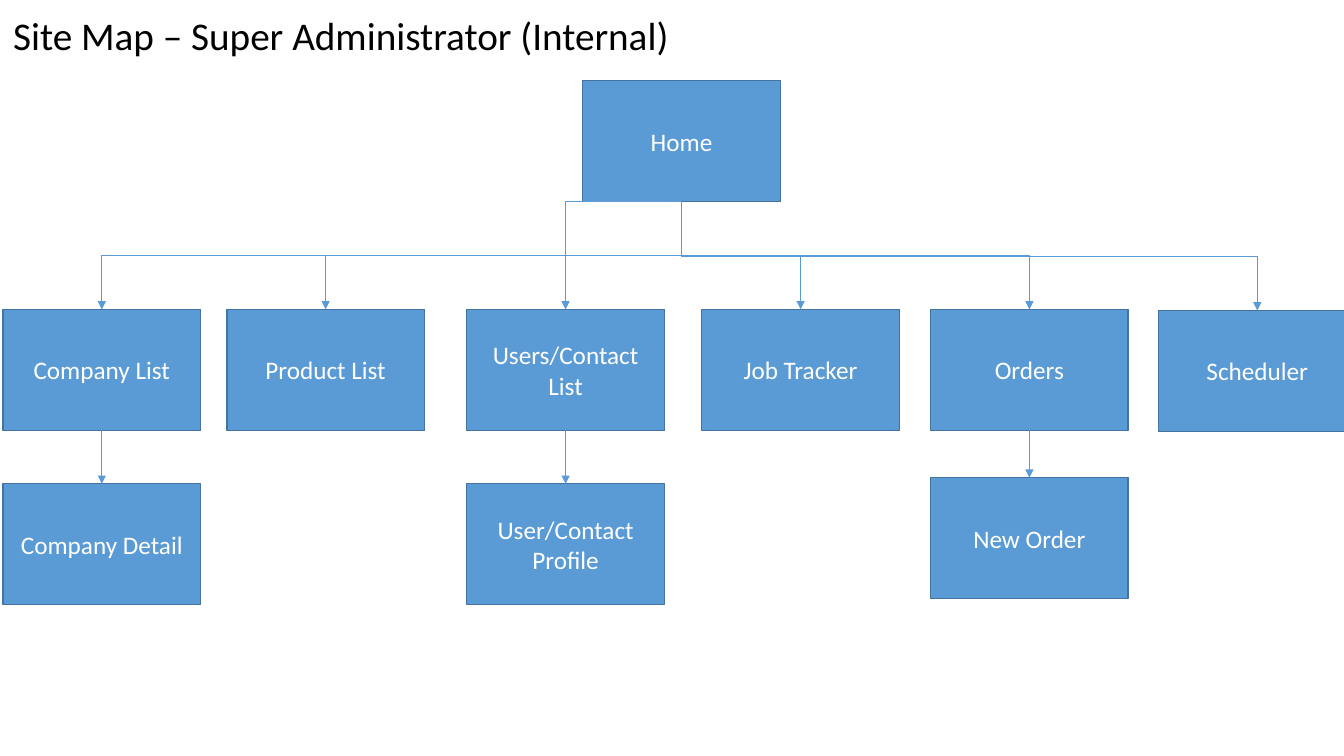
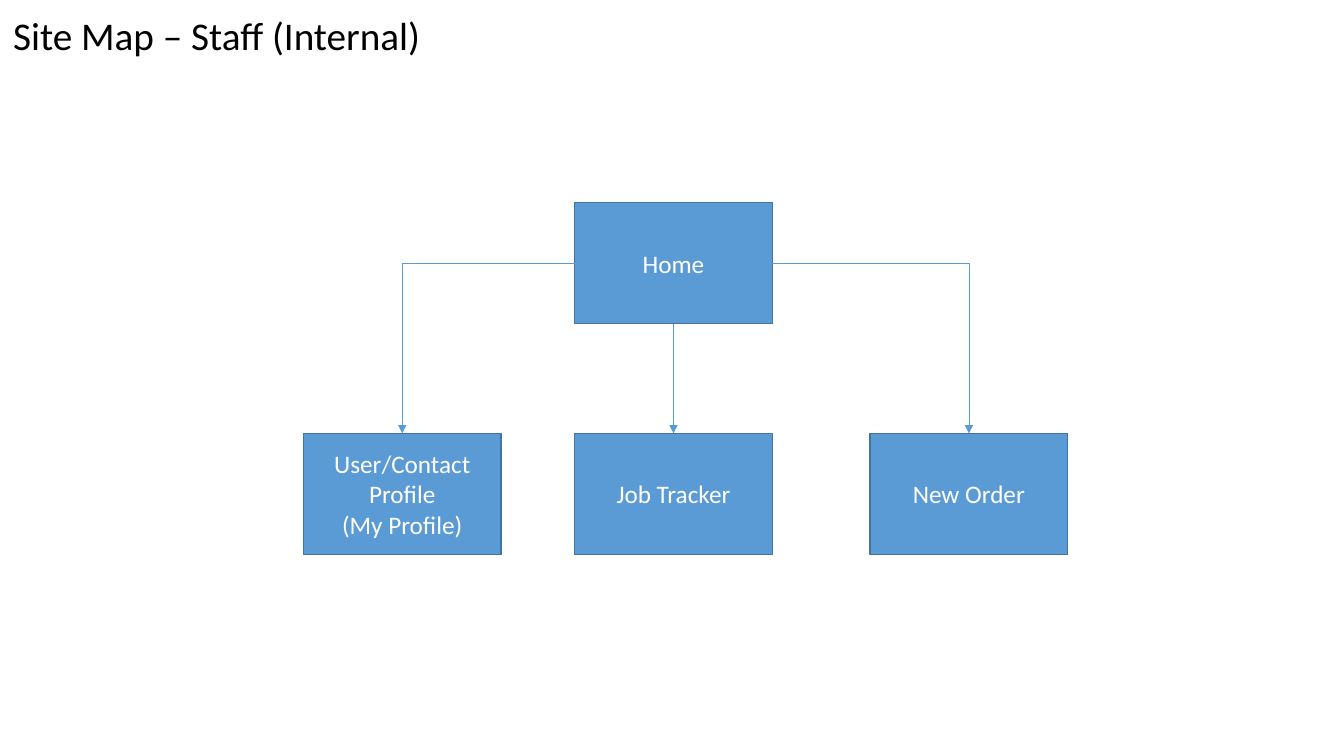
from dataclasses import dataclass

from pptx import Presentation
from pptx.dml.color import RGBColor
from pptx.enum.shapes import MSO_CONNECTOR, MSO_SHAPE
from pptx.enum.text import MSO_ANCHOR, MSO_AUTO_SIZE, PP_ALIGN
from pptx.oxml.ns import qn
from pptx.oxml.xmlchemy import OxmlElement
from pptx.util import Inches, Pt


@dataclass(frozen=True)
class Theme:
    """Colours, type sizes and page box size shared by the slides."""
    fill: RGBColor = RGBColor(0x5B, 0x9B, 0xD5)
    edge: RGBColor = RGBColor(0x43, 0x73, 0x9E)
    ink: RGBColor = RGBColor(0, 0, 0)
    paper: RGBColor = RGBColor(0xFF, 0xFF, 0xFF)
    font: str = "Calibri"
    title_size: Pt = Pt(28)
    page_size: Pt = Pt(18)
    page_w: Inches = Inches(1.96)
    page_h: Inches = Inches(1.2)


THEME = Theme()
TOP, LEFT, BOTTOM, RIGHT = range(4)


def style_text(tf, size, color, align):
    """Format every paragraph and run of a text frame."""
    for p in tf.paragraphs:
        p.alignment = align
        for r in p.runs:
            r.font.name = THEME.font
            r.font.size = size
            r.font.color.rgb = color


def titled_slide(prs, title, width):
    """Add a title-only slide with its title in the top left corner."""
    s = prs.slides.add_slide(prs.slide_layouts[5])
    sp = s.shapes.title
    sp.left, sp.top = Inches(0.03), Inches(0.06)
    sp.width, sp.height = Inches(width), Inches(0.57)
    tf = sp.text_frame
    tf.text = title
    tf.word_wrap = False
    tf.auto_size = MSO_AUTO_SIZE.SHAPE_TO_FIT_TEXT
    tf.vertical_anchor = MSO_ANCHOR.TOP
    style_text(tf, THEME.title_size, THEME.ink, PP_ALIGN.LEFT)
    return s


def add_page(s, text, left, top):
    """Add one page box of the site map."""
    sp = s.shapes.add_shape(MSO_SHAPE.RECTANGLE, left, top, THEME.page_w, THEME.page_h)
    sp.shadow.inherit = False
    sp.fill.solid()
    sp.fill.fore_color.rgb = THEME.fill
    sp.line.color.rgb = THEME.edge
    sp.line.width = Pt(1)
    tf = sp.text_frame
    tf.text = text
    tf.word_wrap = True
    tf.vertical_anchor = MSO_ANCHOR.MIDDLE
    style_text(tf, THEME.page_size, THEME.paper, PP_ALIGN.CENTER)
    return sp


def side_point(sp, side):
    """Return the middle of one side of a page box."""
    x = {LEFT: sp.left, RIGHT: sp.left + sp.width}.get(side, sp.left + sp.width // 2)
    y = {TOP: sp.top, BOTTOM: sp.top + sp.height}.get(side, sp.top + sp.height // 2)
    return x, y


def add_arrow(s, kind, start, end):
    """Add a thin connector with an arrowhead at its end."""
    cn = s.shapes.add_connector(kind, *start, *end)
    cn.line.color.rgb = THEME.fill
    cn.line.width = Pt(0.5)
    tail = OxmlElement("a:tailEnd")
    tail.set("type", "triangle")
    cn.line._get_or_add_ln().append(tail)
    cn._element.spPr.append(OxmlElement("a:effectLst"))
    return cn


def join(cn, parent, side, child):
    """Tie a connector to a side of the parent and the top of the child."""
    cn.begin_connect(parent, side)
    cn.end_connect(child, TOP)


def link_straight(s, parent, child):
    """Link a parent straight down to its child."""
    cn = add_arrow(s, MSO_CONNECTOR.STRAIGHT, side_point(parent, BOTTOM), side_point(child, TOP))
    join(cn, parent, BOTTOM, child)


def link_branch(s, parent, child):
    """Link down, across and down again, as a quarter-turned elbow."""
    (x1, y1), (x2, y2) = side_point(parent, BOTTOM), side_point(child, TOP)
    cn = add_arrow(s, MSO_CONNECTOR.ELBOW, (x1, y1), (x2, y2))
    join(cn, parent, BOTTOM, child)
    across, down = abs(x2 - x1), y2 - y1
    cn.left, cn.top = (x1 + x2 - down) // 2, (y1 + y2 - across) // 2
    cn.width, cn.height = down, across
    xfrm = cn._element.spPr.find(qn("a:xfrm"))
    xfrm.attrib.pop("flipH", None)
    xfrm.set("rot", "5400000" if x2 < x1 else "16200000")
    if x2 > x1:
        xfrm.set("flipH", "1")


def link_corner(s, parent, side, child, glued=True):
    """Link sideways and then down, with a single corner."""
    cn = add_arrow(s, MSO_CONNECTOR.ELBOW, side_point(parent, side), side_point(child, TOP))
    cn._element.spPr.find(qn("a:prstGeom")).set("prst", "bentConnector2")
    if glued:
        join(cn, parent, side, child)


def admin_map(s, left, top):
    """Draw the three-level administrator map from its top left corner."""
    home = add_page(s, "Home", left + Inches(5.75), top)
    row, detail = Inches(2.27), Inches(4)
    sections = [
        ("Company List", 0, row, "Company Detail", detail),
        ("Product List", 2.22, row, None, None),
        ("Users/Contact List", 4.6, row, "User/Contact Profile", detail),
        ("Job Tracker", 6.93, row, None, None),
        ("Orders", 9.2, row, "New Order", Inches(3.94)),
        ("Scheduler", 11.46, Inches(2.28), None, None),
    ]
    for name, x, y, sub, sub_y in sections:
        page = add_page(s, name, left + Inches(x), top + y)
        if name == "Users/Contact List":
            link_corner(s, home, BOTTOM, page, glued=False)
        else:
            link_branch(s, home, page)
        if sub:
            link_straight(s, page, add_page(s, sub, page.left, top + sub_y))


def staff_map(s, left, top):
    """Draw the two-level staff map from its top left corner."""
    home = add_page(s, "Home", left + Inches(2.69), top)
    names = ["User/Contact Profile\n(My Profile)", "Job Tracker", "New Order"]
    profile, tracker, order = [
        add_page(s, name, left + Inches(x), top + Inches(2.29))
        for name, x in zip(names, (0, 2.69, 5.62))
    ]
    link_corner(s, home, LEFT, profile)
    link_straight(s, home, tracker)
    link_corner(s, home, RIGHT, order)


def main():
    """Build and save the site maps."""
    prs = Presentation()
    prs.slide_width, prs.slide_height = Inches(13.33), Inches(7.5)
    s = titled_slide(prs, "Site Map – Super Administrator (Internal)", 6.78)
    admin_map(s, Inches(0.03), Inches(0.8))
    s = titled_slide(prs, "Site Map – Staff (Internal)", 4.29)
    staff_map(s, Inches(3.01), Inches(2.01))
    prs.save("out.pptx")


if __name__ == "__main__":
    main()
